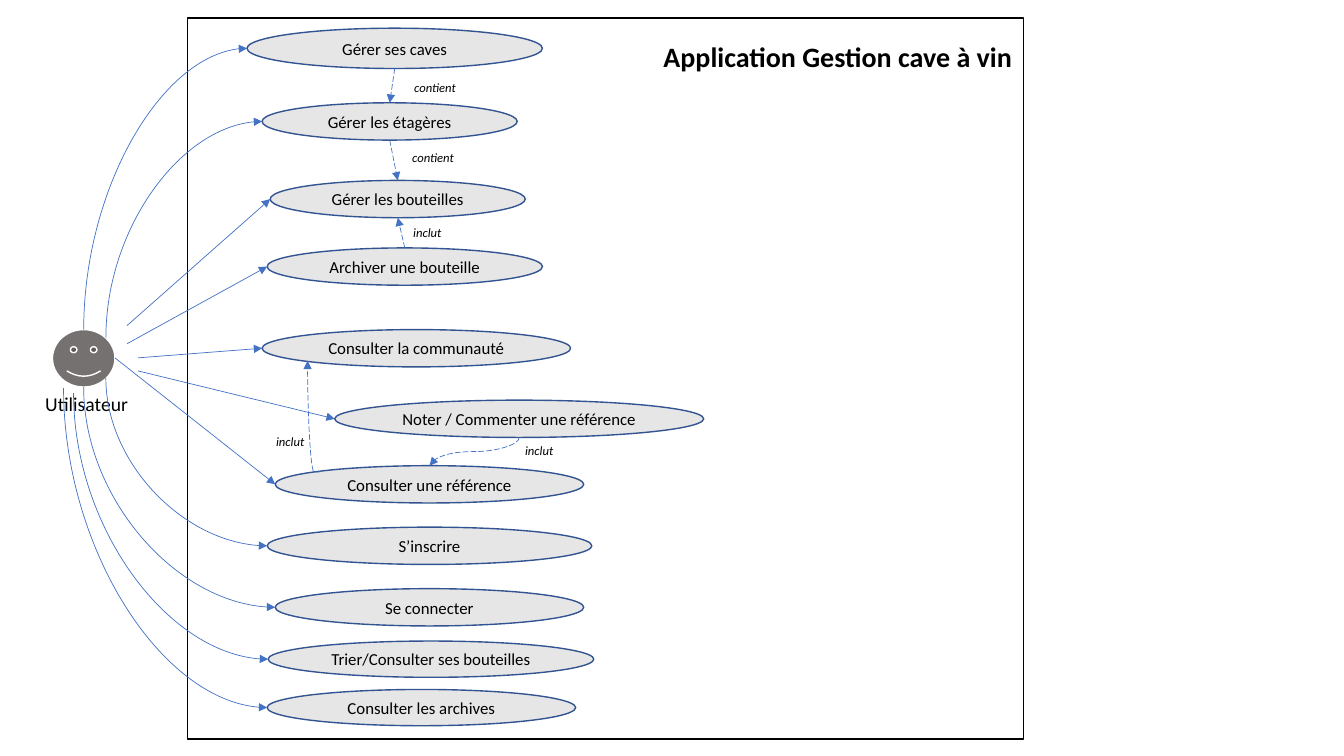
import pptx
import pptx.dml.color
import pptx.enum.dml
import pptx.enum.shapes
import pptx.enum.text
import pptx.oxml
import pptx.oxml.ns
import pptx.util

Inches, Pt = pptx.util.Inches, pptx.util.Pt
RGBColor = pptx.dml.color.RGBColor
SHAPE = pptx.enum.shapes.MSO_SHAPE
CONNECTOR = pptx.enum.shapes.MSO_CONNECTOR
ALIGN = pptx.enum.text.PP_ALIGN
ANCHOR = pptx.enum.text.MSO_ANCHOR
qn = pptx.oxml.ns.qn

BLACK = RGBColor(0x00, 0x00, 0x00)
WHITE = RGBColor(0xFF, 0xFF, 0xFF)
ACTOR_GREY = RGBColor(0x76, 0x71, 0x71)
CASE_GREY = RGBColor(0xE7, 0xE6, 0xE6)
CASE_BORDER = RGBColor(0x32, 0x54, 0x91)
ARROW_BLUE = RGBColor(0x44, 0x72, 0xC4)
FONT = "Calibri"

TITLE = "Application Gestion cave à vin"
ACTOR = "Utilisateur"

# label, (left, top, width, height), start of the actor's arrow, curved arrow
USE_CASES = [
    ("Gérer ses caves", (2.45, 0.28, 2.93, 0.4), (0.83, 3.27), True),
    ("Gérer les étagères", (2.6, 1.02, 2.53, 0.37), (1.05, 3.35), True),
    ("Gérer les bouteilles", (2.68, 1.79, 2.53, 0.37), (1.26, 3.23), False),
    ("Archiver une bouteille", (2.65, 2.46, 2.73, 0.37), (1.26, 3.41), False),
    ("Consulter la communauté", (2.6, 3.27, 3.06, 0.37), (1.37, 3.55), False),
    ("Noter / Commenter une référence", (3.32, 3.97, 3.66, 0.37), (1.37, 3.68), False),
    ("Consulter une référence", (2.73, 4.62, 3.06, 0.37), (1.14, 3.55), False),
    ("S’inscrire", (2.65, 5.23, 3.22, 0.37), (1.05, 3.75), True),
    ("Se connecter", (2.73, 5.84, 3.06, 0.37), (0.83, 3.84), True),
    ("Trier/Consulter ses bouteilles", (2.66, 6.36, 3.23, 0.36), (0.73, 3.9), True),
    ("Consulter les archives", (2.65, 6.84, 3.06, 0.36), (0.63, 3.85), True),
]

# from, to, label, label position
STRAIGHT_RELATIONS = [
    ("Gérer ses caves", "Gérer les étagères", "contient", (4.01, 0.74)),
    ("Gérer les étagères", "Gérer les bouteilles", "contient", (3.99, 1.44)),
    ("Archiver une bouteille", "Gérer les bouteilles", "inclut", (4, 2.18)),
]
# start, end, flipped, bend, label, label position
CURVED_RELATIONS = [
    ((3.18, 4.68), (3.05, 3.58), True, -400, "inclut", (2.64, 4.26)),
    ((5.15, 4.34), (4.26, 4.62), False, 50000, "inclut", (5.11, 4.34)),
]


def write(text_frame, text, size, bold=None, italic=None):
    text_frame.word_wrap = True
    run = text_frame.paragraphs[0].add_run()
    run.text = text
    run.font.name = FONT
    run.font.size = Pt(size)
    run.font.bold = bold
    run.font.italic = italic
    run.font.color.rgb = BLACK


def add_label(slide, text, box, size, italic=None):
    label = slide.shapes.add_textbox(*map(Inches, box))
    write(label.text_frame, text, size, italic=italic)


def add_outlined(slide, preset, box, fill, border):
    shape = slide.shapes.add_shape(preset, *map(Inches, box))
    shape.shadow.inherit = False
    if fill is None:
        shape.fill.background()
    else:
        shape.fill.solid()
        shape.fill.fore_color.rgb = fill
    shape.line.color.rgb = border
    shape.line.width = Pt(1)
    return shape


def add_arrow(slide, start, end, kind=CONNECTOR.STRAIGHT, dashed=False):
    arrow = slide.shapes.add_connector(kind, *map(Inches, (*start, *end)))
    arrow.line.color.rgb = ARROW_BLUE
    arrow.line.width = Pt(0.5)
    if dashed:
        arrow.line.dash_style = pptx.enum.dml.MSO_LINE.LONG_DASH
    pptx.oxml.ns  # namespace helpers
    properties = arrow._element.spPr
    head = properties.find(qn("a:ln")).makeelement(qn("a:tailEnd"), {"type": "triangle"})
    properties.find(qn("a:ln")).append(head)
    properties.append(properties.makeelement(qn("a:effectLst"), {}))
    return arrow


def add_curve(slide, start, end, rotation, flip_h, flip_v, bend=None, dashed=False):
    """Draw a curve leaving vertically: a connector turned a quarter about its centre."""
    middle_x, middle_y = (start[0] + end[0]) / 2, (start[1] + end[1]) / 2
    half_width = abs(end[1] - start[1]) / 2 * (-1 if flip_h else 1)
    half_height = abs(end[0] - start[0]) / 2 * (-1 if flip_v else 1)
    curve = add_arrow(slide, (middle_x - half_width, middle_y - half_height),
                      (middle_x + half_width, middle_y + half_height),
                      CONNECTOR.CURVE, dashed)
    properties = curve._element.spPr
    properties.find(qn("a:xfrm")).set("rot", str(rotation * 60000))
    geometry = properties.find(qn("a:prstGeom"))
    if bend is None:
        geometry.set("prst", "curvedConnector2")
    else:
        adjustments = geometry.find(qn("a:avLst"))
        adjustments.append(adjustments.makeelement(
            qn("a:gd"), {"name": "adj1", "fmla": f"val {bend}"}))


def main():
    presentation = pptx.Presentation()
    presentation.slide_width = Inches(13.33)
    presentation.slide_height = Inches(7.5)
    slide = presentation.slides.add_slide(presentation.slide_layouts[5])

    title = slide.shapes.title
    title.left, title.top, title.width, title.height = map(Inches, (6.48, 0.34, 3.89, 0.44))
    write(title.text_frame, TITLE, 20, bold=True)
    title.text_frame.vertical_anchor = ANCHOR.TOP
    title.text_frame.paragraphs[0].alignment = ALIGN.LEFT

    add_outlined(slide, SHAPE.RECTANGLE, (1.86, 0.18, 8.29, 7.15), None, BLACK)
    add_outlined(slide, SHAPE.SMILEY_FACE, (0.52, 3.27, 0.62, 0.57), ACTOR_GREY, WHITE)
    add_label(slide, ACTOR, (0.35, 3.84, 1.28, 0.34), 14)

    boxes = {}
    for name, box, start, curved in USE_CASES:
        boxes[name] = box
        left, top, width, height = box
        case = add_outlined(slide, SHAPE.OVAL, box, CASE_GREY, CASE_BORDER)
        write(case.text_frame, name, 12)
        case.text_frame.vertical_anchor = ANCHOR.MIDDLE
        case.text_frame.paragraphs[0].alignment = ALIGN.CENTER
        end = (left, top + height / 2)
        if curved:
            upward = end[1] < start[1]
            add_curve(slide, start, end, 90 if upward else 270, True, upward)
        else:
            add_arrow(slide, start, end)

    for source, target, text, position in STRAIGHT_RELATIONS:
        ends = []
        downward = boxes[source][1] < boxes[target][1]
        for name, at_bottom in ((source, downward), (target, not downward)):
            left, top, width, height = boxes[name]
            ends.append((left + width / 2, top + height * at_bottom))
        add_arrow(slide, *ends, dashed=True)
        add_label(slide, text, (*position, 0.64, 0.25), 9, italic=True)

    for start, end, flipped, bend, text, position in CURVED_RELATIONS:
        add_curve(slide, start, end, 270 if flipped else 90, False, flipped, bend, dashed=True)
        add_label(slide, text, (*position, 0.64, 0.25), 9, italic=True)

    presentation.save("out.pptx")


if __name__ == "__main__":
    main()
